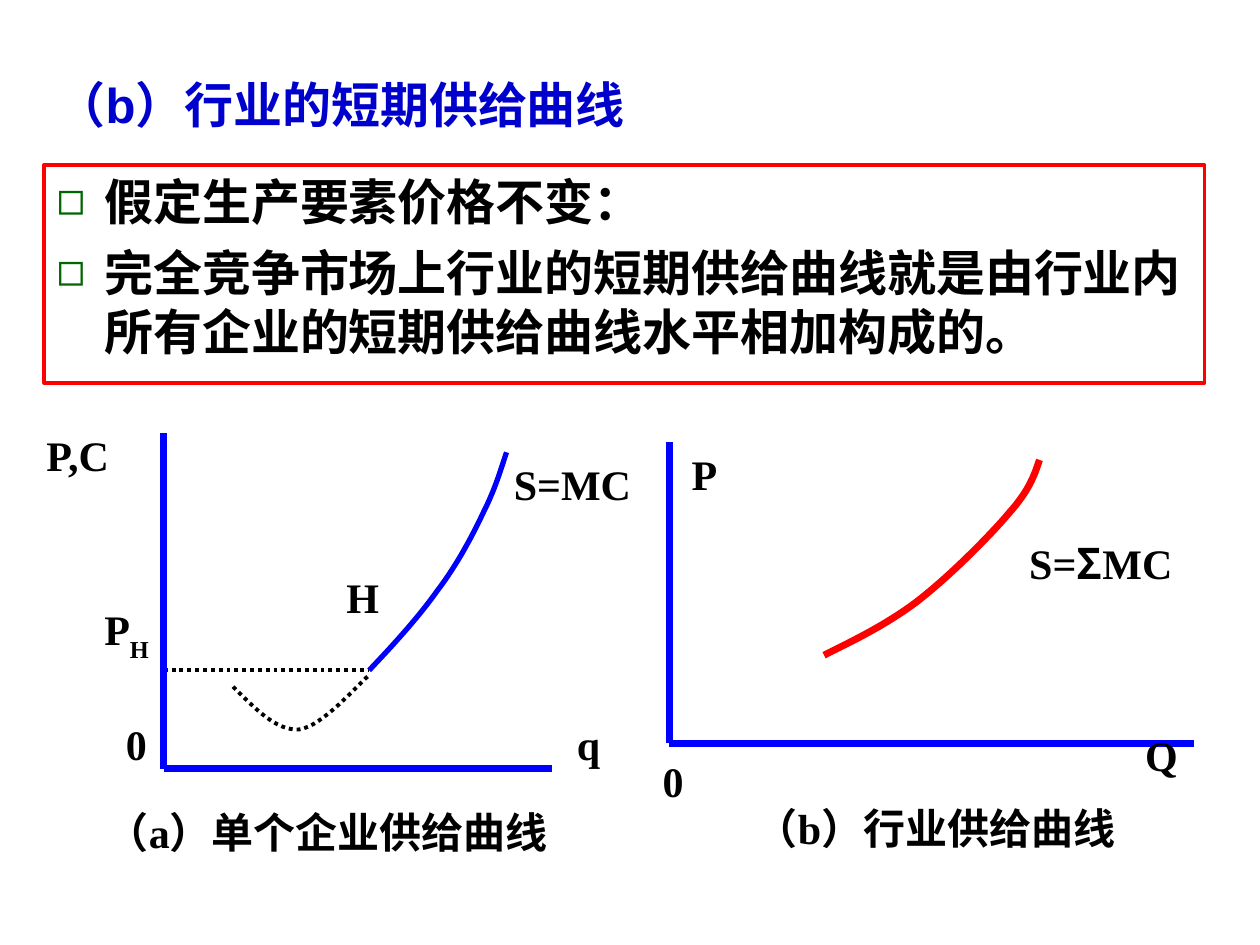
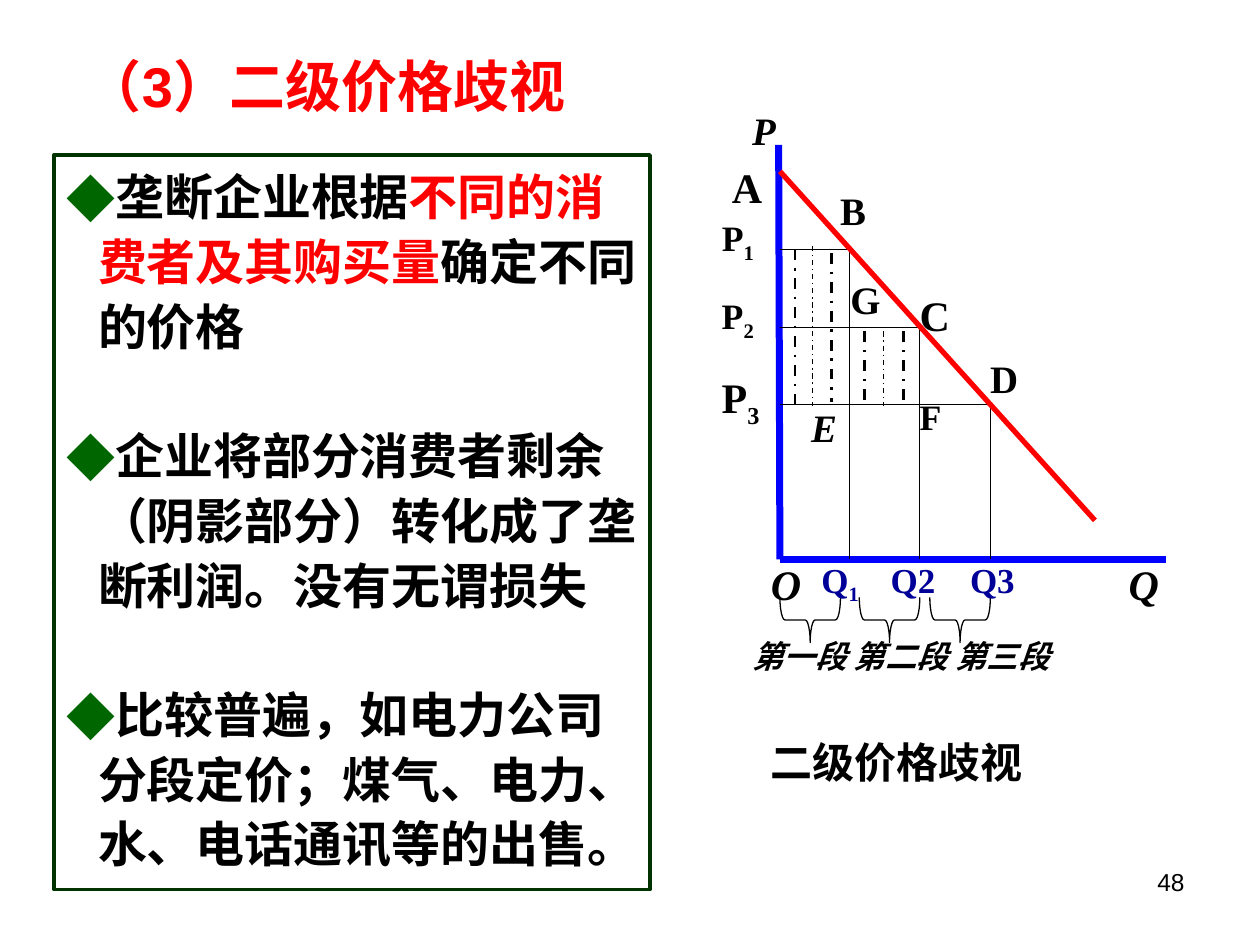
from dataclasses import dataclass
from typing import NamedTuple

from lxml.etree import SubElement
from pptx import Presentation
from pptx.dml.color import RGBColor
from pptx.enum.dml import MSO_LINE
from pptx.enum.shapes import MSO_CONNECTOR, MSO_SHAPE
from pptx.enum.text import MSO_ANCHOR, PP_ALIGN
from pptx.oxml.ns import qn
from pptx.util import Emu, Pt

EMU_PER_PX = 9144  # 100 px to the inch


@dataclass(frozen=True)
class Theme:
    black: str = "000000"
    white: str = "FFFFFF"
    red: str = "FF0000"
    axis: str = "0000FF"
    heading: str = "0000CC"
    quantity: str = "000099"
    bullet: str = "006600"
    frame: str = "003300"
    sans: str = "Arial"
    serif: str = "Times New Roman"
    chinese: str = "Noto Sans CJK SC"
    large_title: float = 32
    title: float = 28
    body: float = 28
    label: float = 24
    point: float = 22.2
    price: float = 20.4
    quantity_size: float = 20
    segment: float = 18
    footer: float = 14
    axis_width: float = 4
    curve_width: float = 3
    dotted_width: float = 2.25
    frame_width: float = 2
    guide_width: float = 0.75


THEME = Theme()


class Box(NamedTuple):
    left: int
    top: int
    width: int
    height: int


class Run(NamedTuple):
    text: str
    color: str | None = None
    font: str | None = None
    baseline: int = 0


class Label(NamedTuple):
    text: str
    box: Box
    size: float = THEME.label
    color: str = THEME.black
    italic: bool = False
    subscript: str = ""
    drop: int = -25
    spacing: float | None = None


class Hatch(NamedTuple):
    x: int
    top: int
    bottom: int
    width: float


class Bullet(NamedTuple):
    char: str
    hang: int
    percent: int = 100
    font: str = THEME.chinese


Point = tuple[int, int]


def px(length: float) -> Emu:
    return Emu(round(length * EMU_PER_PX))


def rgb(color: str) -> RGBColor:
    return RGBColor.from_string(color)


def write(paragraph, *runs: Run, size: float, color: str = THEME.black,
          font: str = THEME.serif, bold: bool = True, italic: bool = False,
          align: PP_ALIGN = PP_ALIGN.LEFT, spacing: float | None = None,
          before: float = 0) -> None:
    paragraph.alignment = align
    paragraph.line_spacing = spacing
    if before:
        paragraph.space_before = Pt(before)
    for part in runs:
        run = paragraph.add_run()
        run.text = part.text
        style = run.font
        style.size, style.bold, style.italic = Pt(size), bold, italic
        style.name = part.font or font
        style.color.rgb = rgb(part.color or color)
        properties = run._r.get_or_add_rPr()
        SubElement(properties, qn("a:ea"), typeface=THEME.chinese)
        if part.baseline:
            properties.set("baseline", str(part.baseline * 1000))


def add_text(slide, box: Box, *runs: Run, **style) -> None:
    frame = slide.shapes.add_textbox(*map(px, box)).text_frame
    frame.word_wrap = True
    write(frame.paragraphs[0], *runs, **style)


def add_label(slide, label: Label) -> None:
    runs = [Run(label.text)]
    if label.subscript:
        runs.append(Run(label.subscript, baseline=label.drop))
    add_text(slide, label.box, *runs, size=label.size, color=label.color,
             italic=label.italic, spacing=label.spacing)


def add_slide(deck, title: str, box: Box, anchor: MSO_ANCHOR, **style):
    slide = deck.slides.add_slide(deck.slide_layouts[5])
    heading = slide.shapes.title
    heading.left, heading.top, heading.width, heading.height = map(px, box)
    frame = heading.text_frame
    frame.word_wrap = True
    frame.vertical_anchor = anchor
    write(frame.paragraphs[0], Run(title), font=THEME.sans, **style)
    return slide


def set_bullet(paragraph, bullet: Bullet) -> None:
    properties = paragraph._p.get_or_add_pPr()
    properties.set("marL", str(px(bullet.hang)))
    properties.set("indent", str(-px(bullet.hang)))
    color = SubElement(properties, qn("a:buClr"))
    SubElement(color, qn("a:srgbClr"), val=THEME.bullet)
    SubElement(properties, qn("a:buSzPct"), val=str(bullet.percent * 1000))
    SubElement(properties, qn("a:buFont"), typeface=bullet.font)
    SubElement(properties, qn("a:buChar"), char=bullet.char)


def add_bullet_frame(slide, box: Box, items: list[list[Run]], bullet: Bullet,
                     line: str, gap: float, spacing: float | None = None) -> None:
    panel = slide.shapes.add_shape(MSO_SHAPE.RECTANGLE, *map(px, box))
    panel.shadow.inherit = False
    panel.fill.solid()
    panel.fill.fore_color.rgb = rgb(THEME.white)
    set_line(panel, line, THEME.frame_width)
    frame = panel.text_frame
    frame.word_wrap = True
    frame.vertical_anchor = MSO_ANCHOR.TOP
    for index, runs in enumerate(items):
        paragraph = frame.add_paragraph() if index else frame.paragraphs[0]
        set_bullet(paragraph, bullet)
        write(paragraph, *runs, size=THEME.body, font=THEME.sans,
              spacing=spacing, before=gap if index else 0)


def set_line(shape, color: str, width: float, dash: MSO_LINE | None = None) -> None:
    shape.line.color.rgb = rgb(color)
    shape.line.width = Pt(width)
    if dash is not None:
        shape.line.dash_style = dash


def add_line(slide, start: Point, end: Point, color: str, width: float,
             dash: MSO_LINE | None = None) -> None:
    line = slide.shapes.add_connector(MSO_CONNECTOR.STRAIGHT, *map(px, start + end))
    set_line(line, color, width, dash)
    SubElement(line._element.spPr, qn("a:effectLst"))


def add_axes(slide, origin: Point, top: Point, right: Point) -> None:
    for end in (right, top):
        add_line(slide, origin, end, THEME.axis, THEME.axis_width)


def add_curve(slide, knots: list[Point], color: str, width: float,
              dash: MSO_LINE | None = None, steps: int = 16) -> None:
    """Draw cubic Béziers: a start point, then three points for each piece."""
    track = []
    for first in range(0, len(knots) - 1, 3):
        piece = knots[first:first + 4]
        for step in range(1, steps + 1):
            t = step / steps
            weights = ((1 - t) ** 3, 3 * t * (1 - t) ** 2, 3 * t * t * (1 - t), t ** 3)
            track.append(tuple(px(sum(w * knot[axis] for w, knot in zip(weights, piece)))
                               for axis in (0, 1)))
    builder = slide.shapes.build_freeform(*map(px, knots[0]))
    builder.add_line_segments(track, close=False)
    curve = builder.convert_to_shape()
    curve.shadow.inherit = False
    curve.fill.background()
    set_line(curve, color, width, dash)


def add_segment_brace(slide, left: int) -> None:
    brace = slide.shapes.add_shape(MSO_SHAPE.LEFT_BRACE, *map(px, Box(left, 468, 36, 48)))
    brace.rotation = 270
    brace.adjustments[0] = 0.11
    brace.shadow.inherit = False
    brace.fill.background()
    set_line(brace, THEME.black, THEME.guide_width)


def build_supply_slide(deck) -> None:
    slide = add_slide(deck, "（b）行业的短期供给曲线", Box(35, 17, 702, 94),
                      MSO_ANCHOR.BOTTOM, size=THEME.title, color=THEME.heading)
    add_bullet_frame(
        slide, Box(35, 131, 921, 173),
        [[Run("假定生产要素价格不变：")],
         [Run("完全竞争市场上行业的短期供给曲线就是由行业内所有企业的短期供给曲线水平相加构成的。")]],
        Bullet("◻", hang=38, percent=95, font=THEME.sans), THEME.red, gap=7)

    shutdown = (293, 532)
    add_curve(slide, [(185, 545), (202, 562), (219, 580), (237, 579),
                      (256, 577), (285, 542), (294, 535)],
              THEME.black, THEME.dotted_width, MSO_LINE.ROUND_DOT)
    add_line(slide, (130, 532), shutdown, THEME.black, THEME.dotted_width,
             MSO_LINE.ROUND_DOT)
    add_axes(slide, (130, 610), top=(130, 344), right=(438, 610))
    add_curve(slide, [shutdown, (313, 511), (332, 490), (347, 469), (363, 448),
                      (375, 425), (384, 406), (393, 388), (397, 374), (402, 359)],
              THEME.axis, THEME.curve_width)
    add_axes(slide, (531, 590), top=(531, 351), right=(948, 590))
    add_curve(slide, [(654, 520), (678, 508), (703, 496), (727, 478), (752, 459),
                      (785, 426), (801, 407), (817, 389), (821, 377), (825, 365)],
              THEME.red, THEME.axis_width)

    for label in (
        Label("P,C", Box(27, 336, 108, 50)),
        Label("P", Box(73, 474, 100, 57), subscript="H", drop=-30),
        Label("0", Box(90, 565, 58, 50)),
        Label("0", Box(516, 595, 58, 50)),
        Label("q", Box(448, 565, 50, 50)),
        Label("H", Box(265, 449, 50, 50)),
        Label("S=MC", Box(398, 359, 125, 50)),
        Label("Q", Box(899, 574, 58, 50)),
        Label("P", Box(539, 351, 108, 50)),
        Label("（a）单个企业供给曲线", Box(75, 635, 394, 50)),
        Label("（b）行业供给曲线", Box(590, 632, 342, 50)),
    ):
        add_label(slide, label)
    add_text(slide, Box(807, 422, 150, 50), Run("S="), Run("Σ", font=THEME.chinese),
             Run("MC"), size=THEME.label)


def build_discrimination_slide(deck) -> None:
    slide = add_slide(deck, "（3）二级价格歧视", Box(35, 36, 447, 63), MSO_ANCHOR.MIDDLE,
                      size=THEME.large_title, color=THEME.red, align=PP_ALIGN.CENTER)
    add_text(slide, Box(717, 683, 233, 52), Run("48"), size=THEME.footer,
             font=THEME.sans, bold=False, align=PP_ALIGN.RIGHT)

    origin = (619, 444)
    add_axes(slide, origin, top=(618, 115), right=(925, 444))
    for quantity, price in ((674, 198), (730, 260), (786, 321)):
        add_line(slide, (origin[0], price), (quantity, price), THEME.black, THEME.guide_width)
        add_line(slide, (quantity, price), (quantity, origin[1]), THEME.black,
                 THEME.guide_width)
    add_line(slide, (619, 136), (869, 413), THEME.red, THEME.curve_width)

    for hatch in (
        Hatch(631, 198, 322, 1.5), Hatch(645, 195, 322, 0.75), Hatch(660, 201, 319, 1.5),
        Hatch(686, 263, 319, 1.5), Hatch(701, 263, 322, 0.75), Hatch(717, 263, 322, 1.5),
    ):
        add_line(slide, (hatch.x, hatch.top), (hatch.x, hatch.bottom), THEME.black,
                 hatch.width, MSO_LINE.DASH_DOT)
    for left in (625, 688, 744):
        add_segment_brace(slide, left)

    for label in (
        Label("P", Box(587, 84, 71, 47), THEME.point, italic=True, spacing=0.9),
        Label("Q", Box(886, 438, 44, 56), italic=True),
        Label("O", Box(602, 438, 39, 56), italic=True),
        Label("P", Box(563, 167, 79, 50), THEME.price, subscript="1", spacing=0.9),
        Label("P", Box(563, 229, 63, 52), THEME.price, subscript="2", spacing=0.9),
        Label("P", Box(563, 290, 63, 61), subscript="3"),
        Label("Q", Box(642, 438, 60, 56), THEME.quantity_size, THEME.quantity, subscript="1"),
        Label("Q2", Box(697, 438, 75, 56), THEME.quantity_size, THEME.quantity),
        Label("Q3", Box(760, 438, 59, 48), THEME.quantity_size, THEME.quantity),
        Label("A", Box(571, 123, 84, 55)),
        Label("B", Box(657, 147, 50, 49), THEME.point, spacing=0.9),
        Label("C", Box(720, 225, 50, 51)),
        Label("D", Box(776, 281, 49, 48), THEME.point, spacing=0.9),
        Label("E", Box(634, 320, 47, 47), THEME.point, italic=True, spacing=0.9),
        Label("F", Box(720, 312, 66, 46), THEME.price, spacing=0.9),
        Label("G", Box(665, 218, 39, 47), THEME.point, spacing=0.9),
        Label("第一段 第二段 第三段", Box(587, 501, 311, 42), THEME.segment, italic=True),
        Label("二级价格歧视", Box(602, 580, 353, 70)),
    ):
        add_label(slide, label)

    add_bullet_frame(
        slide, Box(43, 123, 473, 583),
        [[Run("垄断企业根据"), Run("不同的消费者及其购买量", THEME.red), Run("确定不同的价格")],
         [Run("企业将部分消费者剩余（阴影部分）转化成了垄断利润。没有无谓损失")],
         [Run("比较普遍，如电力公司分段定价；煤气、电力、水、电话通讯等的出售。")]],
        Bullet("◆", hang=25), THEME.frame, gap=37, spacing=1.1)


def main() -> None:
    deck = Presentation()
    deck.slide_width, deck.slide_height = px(1000), px(750)
    build_supply_slide(deck)
    build_discrimination_slide(deck)
    deck.save("out.pptx")


if __name__ == "__main__":
    main()
